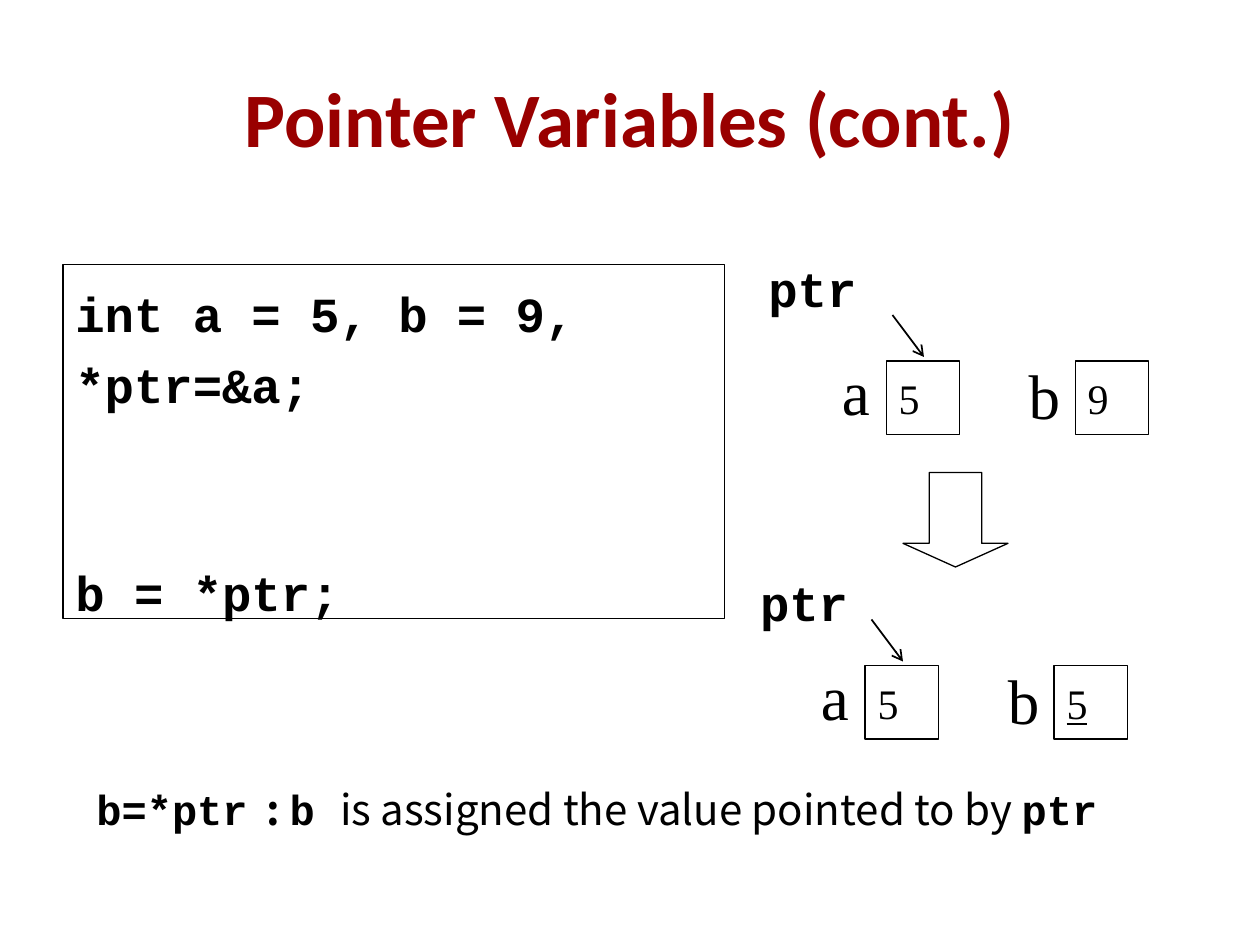
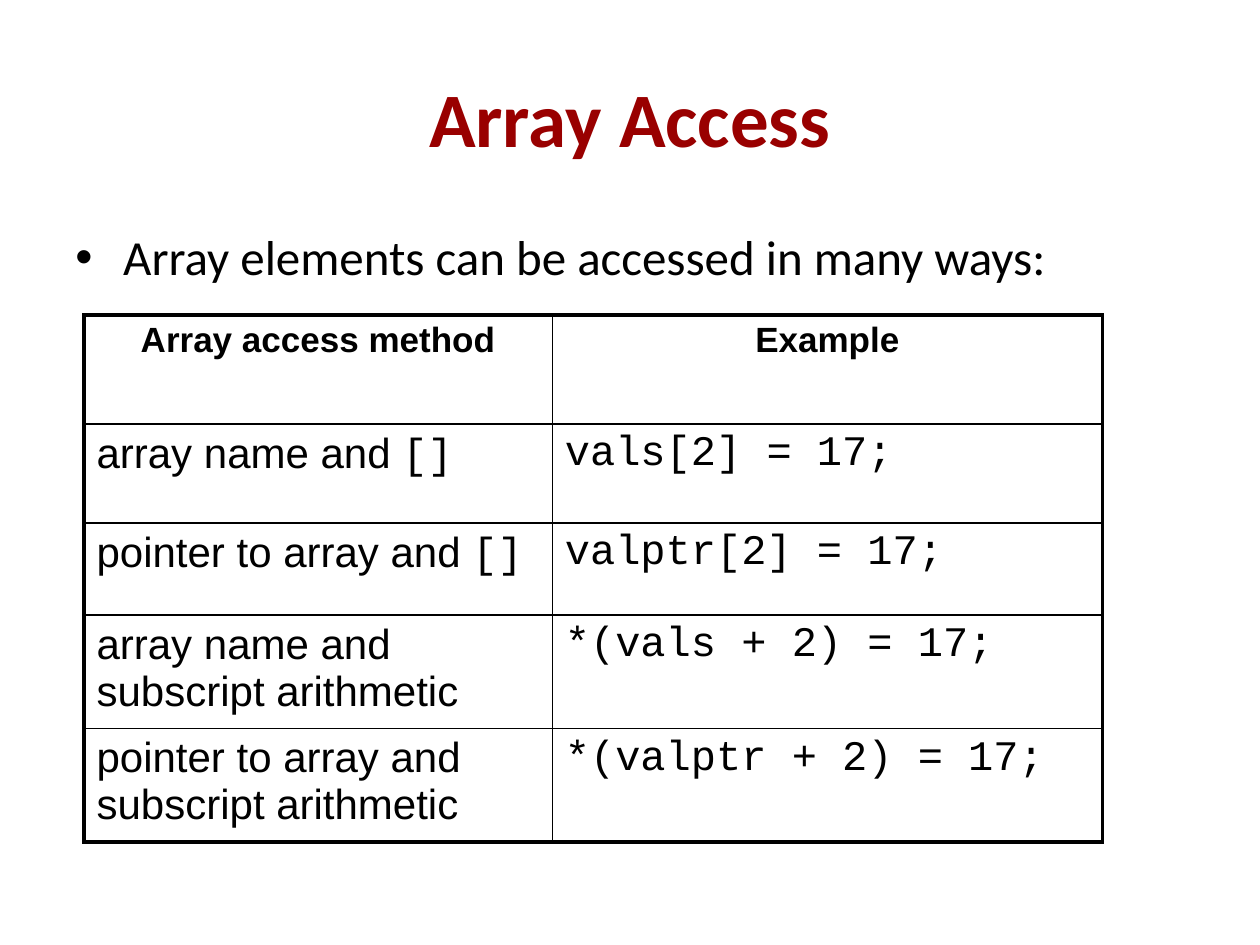
from pptx import Presentation, util as u
from pptx.dml.color import RGBColor
from pptx.enum import shapes, text
from pptx.oxml.ns import qn
from lxml import etree

COLORS = {"title": "990000", "ink": "000000", "paper": "FFFFFF"}
SANS, CODE, SERIF, TABLE, BODY = "Calibri", "Courier New", "Times New Roman", "Arial", "Noto Sans CJK KR"
SLIDE_W, SLIDE_H = u.Inches(10), u.Inches(7.5)
COLS, ROWS = 120, 90
TOP, MIDDLE = text.MSO_ANCHOR.TOP, text.MSO_ANCHOR.MIDDLE
CENTER = text.PP_ALIGN.CENTER


def cols(n):
    return u.Emu(round(SLIDE_W * n / COLS))


def rows(n):
    return u.Emu(round(SLIDE_H * n / ROWS))


def area(box):
    left, top, width, height = box
    return cols(left), rows(top), cols(width), rows(height)


def color(name):
    return RGBColor.from_string(COLORS[name])


def run(words, font, size, bold=False, underline=False, ink="ink"):
    return words, font, size, bold, underline, ink


def add_runs(p, runs):
    for words, font, size, bold, underline, ink in runs:
        r = p.add_run()
        r.text = words
        r.font.name = font
        r.font.size = u.Pt(size)
        r.font.bold = bold
        r.font.underline = underline
        r.font.color.rgb = color(ink)


def fill_frame(sp, paragraphs, anchor=TOP, align=text.PP_ALIGN.LEFT):
    tf = sp.text_frame
    tf.word_wrap = True
    tf.vertical_anchor = anchor
    for i, runs in enumerate(paragraphs):
        p = tf.add_paragraph() if i else tf.paragraphs[0]
        p.alignment = align
        add_runs(p, runs)
    return tf


def add_label(s, box, *runs, **layout):
    return fill_frame(s.shapes.add_textbox(*area(box)), [runs], **layout)


def add_outline(s, kind, box):
    sp = s.shapes.add_shape(kind, *area(box))
    sp.shadow.inherit = False
    sp.fill.background()
    sp.line.color.rgb = color("ink")
    sp.line.width = u.Pt(0.75)
    return sp


def add_arrow(s, x1, y1, x2, y2):
    line = s.shapes.add_connector(shapes.MSO_CONNECTOR.STRAIGHT, cols(x1), rows(y1), cols(x2), rows(y2))
    line.line.color.rgb = color("ink")
    line.line.width = u.Pt(1)
    etree.SubElement(line.line._get_or_add_ln(), qn("a:tailEnd"), type="arrow")
    etree.SubElement(line._element.spPr, qn("a:effectLst"))


def new_slide(prs, title):
    s = prs.slides.add_slide(prs.slide_layouts[6])
    s.background.fill.solid()
    s.background.fill.fore_color.rgb = color("paper")
    add_label(s, (6, 3.6, 108, 15), run(title, SANS, 44, True, ink="title"), anchor=MIDDLE, align=CENTER)
    return s


def code_box(s, box, lines):
    sp = add_outline(s, shapes.MSO_SHAPE.RECTANGLE, box)
    tf = fill_frame(sp, [[run(line, CODE, 28, True)] for line, _ in lines])
    tf.margin_top = u.Inches(0.15)
    for p, (_, gap) in zip(tf.paragraphs, lines):
        p.space_before = u.Pt(gap)


def memory_diagram(s, left, top, b_run, ptr_shift=(0, 0)):
    dx, dy = ptr_shift
    add_label(s, (left + dx, top + dy, 12.4, 6.8), run("ptr", CODE, 28, True))
    add_arrow(s, left + 13, top + 6, left + 16, top + 10)
    variables = [("a", 7, 9, run("5", SERIF, 24)), ("b", 24.8, 9.4, b_run)]
    for i, (name, x, y, value) in enumerate(variables):
        add_label(s, (left + x, top + y, 5.8, 8.4), run(name, SERIF, 36))
        cell = add_outline(s, shapes.MSO_SHAPE.RECTANGLE, (left + 12.4 + 18 * i, top + 10.4, 7, 7))
        fill_frame(cell, [[value]], anchor=MIDDLE)


def caption(s, box):
    tf = add_label(
        s, box,
        run("b=*ptr", CODE, 24, True),
        run("\t: ", BODY, 24, True),
        run("b ", CODE, 24, True),
        run("is assigned the value pointed to by ", BODY, 24),
        run("ptr", CODE, 24, True))
    tabs = etree.SubElement(tf.paragraphs[0]._p.get_or_add_pPr(), qn("a:tabLst"))
    etree.SubElement(tabs, qn("a:tab"), pos=str(u.Inches(1.35)), algn="l")


def bullet(s, box, words):
    tf = add_label(s, box, run(words, SANS, 28))
    pPr = tf.paragraphs[0]._p.get_or_add_pPr()
    indent = u.Inches(0.38)
    pPr.set("marL", str(indent))
    pPr.set("indent", str(-indent))
    etree.SubElement(pPr, qn("a:buFont"), typeface="Arial")
    etree.SubElement(pPr, qn("a:buChar"), char="•")


def set_borders(cell, outer_sides):
    tcPr = cell._tc.get_or_add_tcPr()
    for side in "LRTB":
        width = u.Pt(2.25 if side in outer_sides else 1)
        ln = etree.SubElement(tcPr, qn(f"a:ln{side}"), w=str(width))
        fill = etree.SubElement(ln, qn("a:solidFill"))
        etree.SubElement(fill, qn("a:srgbClr"), val=COLORS["ink"])


def access_table(s, left, top, widths, heights, content):
    box = (left, top, sum(widths), sum(heights))
    table = s.shapes.add_table(len(heights), len(widths), *area(box)).table
    table.first_row = table.horz_banding = False
    for column, width in zip(table.columns, widths):
        column.width = cols(width)
    for row, height in zip(table.rows, heights):
        row.height = rows(height)
    for i, line in enumerate(content):
        for j, runs in enumerate(line):
            cell = table.cell(i, j)
            outer_sides = "LR"[j] + {0: "T", len(content) - 1: "B"}.get(i, "")
            set_borders(cell, outer_sides)
            cell.fill.background()
            p = cell.text_frame.paragraphs[0]
            if i == 0:
                p.alignment = CENTER
            add_runs(p, runs)


def pointer_slide(prs):
    s = new_slide(prs, "Pointer Variables (cont.)")
    code_box(s, (6, 25.2, 63, 33.7), [("int a = 5, b = 9,", 0), ("*ptr=&a;", 7), ("b = *ptr;", 85)])
    memory_diagram(s, 72, 24, run("9", SERIF, 24))
    down = add_outline(s, shapes.MSO_SHAPE.DOWN_ARROW, (86, 45, 10, 9))
    down.adjustments[0], down.adjustments[1] = 0.5, 0.25
    memory_diagram(s, 70, 53, run("5", SERIF, 24, underline=True), ptr_shift=(1.2, 0.9))
    caption(s, (8, 74, 101.2, 6))


def array_slide(prs):
    s = new_slide(prs, "Array Access")
    bullet(s, (6, 21, 107, 10.4), "Array elements can be accessed in many ways:")
    methods = [
        ("array name and ", "[]", "vals[2] = 17;"),
        ("pointer to array and ", "[]", "valptr[2] = 17;"),
        ("array name and subscript arithmetic", "", "*(vals + 2) = 17;"),
        ("pointer to array and subscript arithmetic", "", "*(valptr + 2) = 17;"),
    ]
    content = [[[run(head, TABLE, 20, True)] for head in ("Array access method", "Example")]]
    for words, brackets, example in methods:
        method = [run(words, TABLE, 24)]
        if brackets:
            method.append(run(brackets, CODE, 24))
        content.append([method, [run(example, CODE, 24)]])
    access_table(s, 8, 30, (44.6, 52.4), (10.4, 9.4, 8.8, 10.1, 10.1), content)


def main():
    prs = Presentation()
    prs.slide_width, prs.slide_height = SLIDE_W, SLIDE_H
    pointer_slide(prs)
    array_slide(prs)
    prs.save("out.pptx")


if __name__ == "__main__":
    main()
